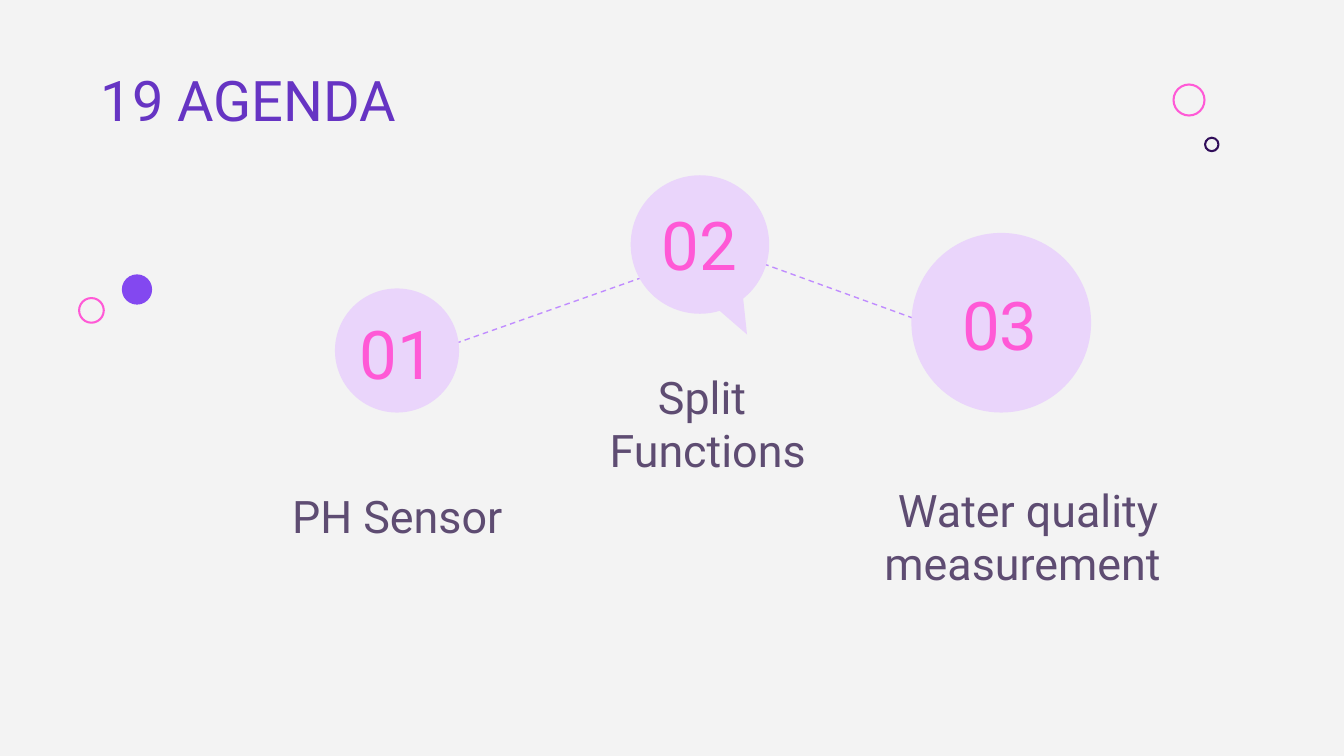
"""Build the agenda slide with three numbered bubbles."""
from dataclasses import dataclass

import pptx
import pptx.dml.color
import pptx.enum.dml
import pptx.enum.shapes
import pptx.enum.text
import pptx.oxml.ns
import pptx.presentation
import pptx.shapes.autoshape
import pptx.slide
import pptx.util
from lxml import etree

Pt = pptx.util.Pt
Shape = pptx.enum.shapes.MSO_SHAPE
Anchor = pptx.enum.text.MSO_ANCHOR
Align = pptx.enum.text.PP_ALIGN
Slide = pptx.slide.Slide
Auto = pptx.shapes.autoshape.Shape

PINK, LILAC, DASH = "FF59D6", "EAD5FB", "C08CFF"
NAVY, VIOLET, TITLE, BODY = "300D59", "8348F0", "6634C3", "5E4C72"


@dataclass
class Box:
    left: float
    top: float
    width: float
    height: float


@dataclass
class Dot:
    x: float
    y: float
    size: float
    tint: str
    ring: bool = True


@dataclass
class Step:
    x: float
    y: float
    size: float
    num: str
    spot: Box
    label: str
    area: Box
    kind: Shape = Shape.OVAL


@dataclass
class Link:
    x1: float
    y1: float
    x2: float
    y2: float


DOTS = [
    Dot(637, 53.6, 16.6, PINK),
    Dot(649.2, 77.4, 7.2, NAVY),
    Dot(73.4, 155.1, 16.2, VIOLET, False),
    Dot(49, 166.3, 13.2, PINK),
]
LINKS = [Link(375, 129, 532, 186), Link(210, 196, 377, 137)]
STEPS = [
    Step(212.7, 187.8, 66.5, "01", Box(184.3, 166.3, 56.9, 45.4),
         "PH Sensor", Box(111.6, 231, 202.3, 67)),
    Step(375, 131, 74.2, "02", Box(322.5, 108, 104.4, 45.4),
         "Split \nFunctions", Box(270, 211.7, 218.2, 51),
         Shape.OVAL_CALLOUT),
    Step(536.4, 172.9, 96.3, "03", Box(488.2, 150.5, 95, 45.4),
         "Water quality measurement ", Box(439.2, 254.2, 223.2, 69)),
]


def color(code: str) -> pptx.dml.color.RGBColor:
    """Turn a hex string into a colour."""
    return pptx.dml.color.RGBColor.from_string(code)


def write(shape: Auto, text: str, size: float, tint: str,
          align: Align, anchor: Anchor) -> None:
    """Fill a shape with formatted text."""
    frame = shape.text_frame
    frame.text = text
    frame.word_wrap = True
    frame.auto_size = pptx.enum.text.MSO_AUTO_SIZE.NONE
    frame.vertical_anchor = anchor
    for para in frame.paragraphs:
        para.alignment = align
        for run in para.runs:
            run.font.name = "Roboto"
            run.font.size = Pt(size)
            run.font.color.rgb = color(tint)


def label(slide: Slide, box: Box, text: str, size: float, tint: str,
          anchor: Anchor) -> None:
    """Add a centred text box."""
    shape = slide.shapes.add_textbox(
        Pt(box.left), Pt(box.top), Pt(box.width), Pt(box.height))
    write(shape, text, size, tint, Align.CENTER, anchor)


def disc(slide: Slide, kind: Shape, x: float, y: float, size: float) -> Auto:
    """Add a round shape around its centre."""
    shape = slide.shapes.add_shape(
        kind, Pt(x - size / 2), Pt(y - size / 2), Pt(size), Pt(size))
    shape.shadow.inherit = False
    return shape


def paint(shape: Auto, tint: str) -> None:
    """Fill a shape and drop its outline."""
    shape.fill.solid()
    shape.fill.fore_color.rgb = color(tint)
    shape.line.fill.background()


def dot(slide: Slide, item: Dot) -> None:
    """Draw a small ring or filled dot."""
    shape = disc(slide, Shape.OVAL, item.x, item.y, item.size)
    if item.ring:
        shape.fill.background()
        shape.line.color.rgb = color(item.tint)
        shape.line.width = Pt(1.1)
    else:
        paint(shape, item.tint)


def link(slide: Slide, item: Link) -> None:
    """Draw a dashed line between bubbles."""
    line = slide.shapes.add_connector(
        pptx.enum.shapes.MSO_CONNECTOR.STRAIGHT,
        Pt(item.x1), Pt(item.y1), Pt(item.x2), Pt(item.y2))
    line.line.color.rgb = color(DASH)
    line.line.width = Pt(0.75)
    line.line.dash_style = pptx.enum.dml.MSO_LINE.DASH
    props = line._element.spPr
    etree.SubElement(props, pptx.oxml.ns.qn("a:effectLst"))


def bubble(slide: Slide, item: Step) -> None:
    """Draw the bubble of a step."""
    shape = disc(slide, item.kind, item.x, item.y, item.size)
    paint(shape, LILAC)
    if item.kind == Shape.OVAL_CALLOUT:
        shape.adjustments[0] = 0.34
        shape.adjustments[1] = 0.65


def build() -> pptx.presentation.Presentation:
    """Make the deck with its one slide."""
    deck = pptx.Presentation()
    deck.slide_width, deck.slide_height = Pt(720), Pt(405)
    slide = deck.slides.add_slide(deck.slide_layouts[5])
    slide.background.fill.solid()
    slide.background.fill.fore_color.rgb = color("F3F3F3")

    title = slide.shapes.title
    title.left, title.top = Pt(46.8), Pt(28.1)
    title.width, title.height = Pt(530), Pt(51)
    frame = title.text_frame
    frame.margin_left = frame.margin_right = Pt(7.2)
    frame.margin_top = frame.margin_bottom = Pt(7.2)
    write(title, "19 AGENDA", 30, TITLE, Align.LEFT, Anchor.TOP)

    for item in DOTS:
        dot(slide, item)
    for item in LINKS:
        link(slide, item)
    for step in STEPS:
        bubble(slide, step)
        label(slide, step.spot, step.num, 36, PINK, Anchor.MIDDLE)
        label(slide, step.area, step.label, 24, BODY, Anchor.BOTTOM)
    for shape in slide.shapes:
        if shape.has_text_frame:
            shape.text_frame.margin_top = Pt(7.2)
            shape.text_frame.margin_bottom = Pt(7.2)
    return deck


if __name__ == "__main__":
    build().save("out.pptx")
